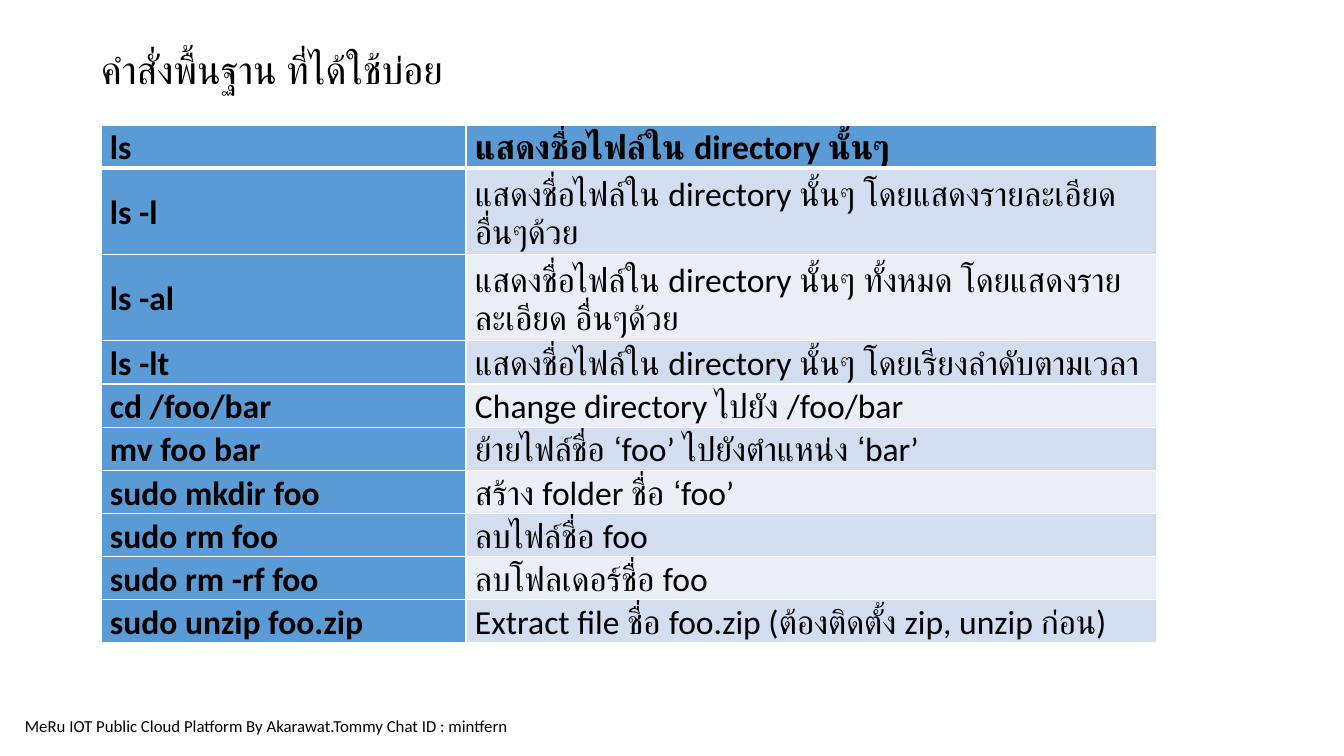
from dataclasses import dataclass

from lxml import etree
from pptx import Presentation
from pptx import util as u
from pptx.dml.color import RGBColor
from pptx.enum import text
from pptx.oxml import ns

EMU_PER_PX = 12192000 / 1344

BLACK, WHITE = "000000", "FFFFFF"
BLUE, BANDS = "5B9BD5", ("D2DEEF", "EAEFF7")
COLUMN_WIDTHS = (365, 691)
ROW_HEIGHT = 43


@dataclass
class Command:
    name: str
    meaning: str


COMMANDS = [
    Command("ls", "แสดงชื่อไฟล์ใน directory นั้นๆ"),
    Command("ls -l", "แสดงชื่อไฟล์ใน directory นั้นๆ โดยแสดงรายละเอียด อื่นๆด้วย"),
    Command("ls -al", "แสดงชื่อไฟล์ใน directory นั้นๆ ทั้งหมด โดยแสดงรายละเอียด อื่นๆด้วย"),
    Command("ls -lt", "แสดงชื่อไฟล์ใน directory นั้นๆ โดยเรียงลำดับตามเวลา"),
    Command("cd /foo/bar", "Change directory ไปยัง /foo/bar"),
    Command("mv foo bar", "ย้ายไฟล์ชื่อ ‘foo’ ไปยังตำแหน่ง ‘bar’"),
    Command("sudo mkdir foo", "สร้าง folder ชื่อ ‘foo’"),
    Command("sudo rm foo", "ลบไฟล์ชื่อ foo"),
    Command("sudo rm -rf foo", "ลบโฟลเดอร์ชื่อ foo"),
    Command("sudo unzip foo.zip", "Extract file ชื่อ foo.zip (ต้องติดตั้ง zip, unzip ก่อน)"),
]


def px(length: int) -> u.Emu:
    return u.Emu(round(length * EMU_PER_PX))


def color(value: str) -> RGBColor:
    return RGBColor.from_string(value)


def write(frame, words: str, *, size: int, font: str = "Calibri", bold: bool = False,
          spacing: float = 1.0, after: int = 0) -> None:
    para = frame.paragraphs[0]
    para.line_spacing = spacing
    para.space_after = u.Pt(after)
    span = para.add_run()
    span.text = words
    span.font.size = u.Pt(size)
    span.font.name = font
    span.font.bold = bold
    span.font.color.rgb = color(BLACK)


def add_text(page, left: int, top: int, width: int, height: int, words: str, **style):
    box = page.shapes.add_textbox(px(left), px(top), px(width), px(height))
    box.text_frame.word_wrap = True
    write(box.text_frame, words, **style)
    return box.text_frame


def add_border(cell, side: str, points: int) -> None:
    """Draw one white cell edge; call before the cell's fill is set."""
    line = etree.SubElement(cell._tc.get_or_add_tcPr(), ns.qn(f"a:ln{side}"), w=str(u.Pt(points)))
    fill = etree.SubElement(line, ns.qn("a:solidFill"))
    etree.SubElement(fill, ns.qn("a:srgbClr"), val=WHITE)


def format_cell(cell, row: int, column: int, words: str) -> None:
    is_heading = row == 0 or column == 0
    edges = {"L": 1, "R": 1, "T": 3 if row == 1 else 1, "B": 3 if row == 0 else 1}
    for side, points in edges.items():
        add_border(cell, side, points)
    cell.fill.solid()
    cell.fill.fore_color.rgb = color(BLUE if is_heading else BANDS[(row - 1) % 2])
    cell.vertical_anchor = text.MSO_ANCHOR.MIDDLE
    cell.margin_left, cell.margin_right = px(9), px(8)
    cell.margin_top = cell.margin_bottom = 0
    write(cell.text_frame, words, size=24, bold=is_heading, spacing=1.07)


def add_command_table(page, left: int, top: int) -> None:
    table = page.shapes.add_table(
        len(COMMANDS), len(COLUMN_WIDTHS), px(left), px(top),
        px(sum(COLUMN_WIDTHS)), px(ROW_HEIGHT * len(COMMANDS))).table
    for column, width in zip(table.columns, COLUMN_WIDTHS):
        column.width = px(width)
    for row, command in enumerate(COMMANDS):
        table.rows[row].height = px(ROW_HEIGHT)
        for column, words in enumerate((command.name, command.meaning)):
            format_cell(table.cell(row, column), row, column, words)


def main() -> None:
    deck = Presentation()
    deck.slide_width, deck.slide_height = px(1344), px(756)
    page = deck.slides.add_slide(deck.slide_layouts[6])

    footer = add_text(page, 15, 711, 672, 30,
                      "MeRu IOT Public Cloud Platform By Akarawat.Tommy Chat ID : mintfern", size=12)
    footer.auto_size = text.MSO_AUTO_SIZE.SHAPE_TO_FIT_TEXT

    add_command_table(page, 101, 125)

    title = add_text(page, 101, 42, 936, 36, "คำสั่งพื้นฐาน ที่ได้ใช้บ่อย",
                     size=28, font="Roboto", spacing=1.07, after=8)
    title.margin_left = title.margin_right = title.margin_top = title.margin_bottom = 0

    deck.save("out.pptx")


if __name__ == "__main__":
    main()
